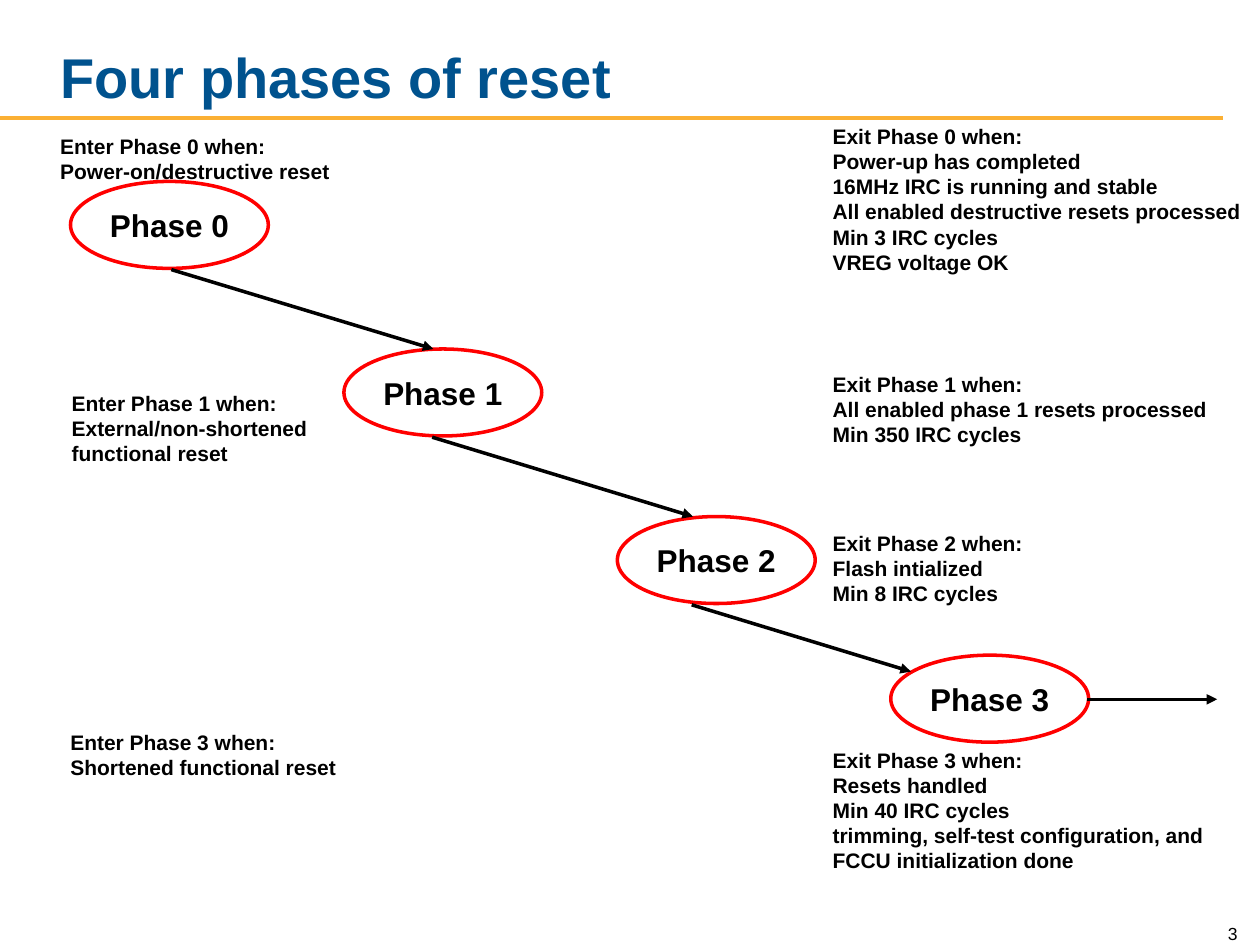
from lxml import etree
from pptx import Presentation
from pptx.dml.color import RGBColor
from pptx.enum.shapes import MSO_CONNECTOR, MSO_SHAPE
from pptx.enum.text import MSO_ANCHOR, PP_ALIGN
from pptx.oxml.ns import qn
from pptx.util import Inches, Pt

STRAIGHT = MSO_CONNECTOR.STRAIGHT
ELLIPSE = MSO_SHAPE.OVAL
TOP, MIDDLE, BOTTOM = MSO_ANCHOR.TOP, MSO_ANCHOR.MIDDLE, MSO_ANCHOR.BOTTOM
LEFT, CENTER, RIGHT = PP_ALIGN.LEFT, PP_ALIGN.CENTER, PP_ALIGN.RIGHT

BLACK = RGBColor(0x00, 0x00, 0x00)
RED = RGBColor(0xFF, 0x00, 0x00)
GOLD = RGBColor(0xFB, 0xB0, 0x34)
BLUE = RGBColor(0x00, 0x52, 0x8E)

PHASE_LEFT, PHASE_STEP = 0.56, 2.17
PHASE_WIDTH, PHASE_HEIGHT = 1.57, 0.69
PHASE_TOPS = [1.44, 2.77, 4.1, 5.2]

ARROWS = [
    ((1.36, 2.14), (3.44, 2.77)),
    ((3.43, 3.47), (5.5, 4.1)),
    ((5.49, 4.8), (7.23, 5.33)),
    ((8.63, 5.55), (9.66, 5.55)),
]

ENTRY_NOTES = [
    (0, 0.38, 1.01, 2.4, 0.5, ["Power-on/destructive reset"]),
    (1, 0.47, 3.05, 2.19, 0.7, ["External/non-shortened functional reset"]),
    (3, 0.46, 5.74, 2.36, 0.5, ["Shortened functional reset"]),
]

EXIT_LEFT = 6.51
EXIT_NOTES = [
    (0.93, 3.44, 1.3, [
        "Power-up has completed",
        "16MHz IRC is running and stable",
        "All enabled destructive resets processed",
        "Min 3 IRC cycles",
        "VREG voltage OK",
    ]),
    (2.9, 3.18, 0.7, ["All enabled phase 1 resets processed", "Min 350 IRC cycles"]),
    (4.16, 3.18, 0.7, ["Flash intialized", "Min 8 IRC cycles"]),
    (5.88, 3.18, 1.1, [
        "Resets handled",
        "Min 40 IRC cycles",
        "trimming, self-test configuration, and FCCU initialization done",
    ]),
]


def write_lines(frame, lines, size, bold=True, color=BLACK, align=LEFT, anchor=TOP):
    frame.vertical_anchor = anchor
    for index, line in enumerate(lines):
        para = frame.paragraphs[0] if index == 0 else frame.add_paragraph()
        para.text = line
        para.alignment = align
        para.font.name = "Arial"
        para.font.size = Pt(size)
        para.font.bold = bold
        para.font.color.rgb = color


def add_text(page, left, top, width, height, lines, size=12, **style):
    box = page.shapes.add_textbox(Inches(left), Inches(top), Inches(width), Inches(height))
    box.text_frame.word_wrap = True
    write_lines(box.text_frame, lines, size, **style)


def add_phase(page, number, top):
    left = PHASE_LEFT + number * PHASE_STEP
    phase = page.shapes.add_shape(
        ELLIPSE, Inches(left), Inches(top), Inches(PHASE_WIDTH), Inches(PHASE_HEIGHT)
    )
    phase.shadow.inherit = False
    phase.fill.background()
    phase.line.color.rgb = RED
    phase.line.width = Pt(2)
    phase.text_frame.word_wrap = False
    write_lines(phase.text_frame, [f"Phase {number}"], 18, align=CENTER, anchor=MIDDLE)


def add_line(page, start, end, color, width, arrow=False):
    line = page.shapes.add_connector(STRAIGHT, *map(Inches, start + end))
    line.line.color.rgb = color
    line.line.width = Pt(width)
    properties = line._element.spPr
    if arrow:
        etree.SubElement(properties.find(qn("a:ln")), qn("a:tailEnd"), type="triangle")
    etree.SubElement(properties, qn("a:effectLst"))


def main():
    deck = Presentation()
    deck.slide_width, deck.slide_height = Inches(10), Inches(7.5)
    page = deck.slides.add_slide(deck.slide_layouts[6])

    add_line(page, (0, 0.94), (9.71, 0.94), GOLD, 2.25)
    add_text(page, 9.42, 7.24, 0.5, 0.3, ["3"], 10, bold=False, align=RIGHT, anchor=BOTTOM)
    add_text(page, 0.38, 0.17, 8.17, 0.75, ["Four phases of reset"], 32, color=BLUE, anchor=BOTTOM)

    for number, top in enumerate(PHASE_TOPS):
        add_phase(page, number, top)
    for start, end in ARROWS:
        add_line(page, start, end, BLACK, 2, arrow=True)
    for number, left, top, width, height, conditions in ENTRY_NOTES:
        add_text(page, left, top, width, height, [f"Enter Phase {number} when:"] + conditions)
    for number, (top, width, height, conditions) in enumerate(EXIT_NOTES):
        add_text(page, EXIT_LEFT, top, width, height, [f"Exit Phase {number} when:"] + conditions)

    deck.save("out.pptx")


if __name__ == "__main__":
    main()
